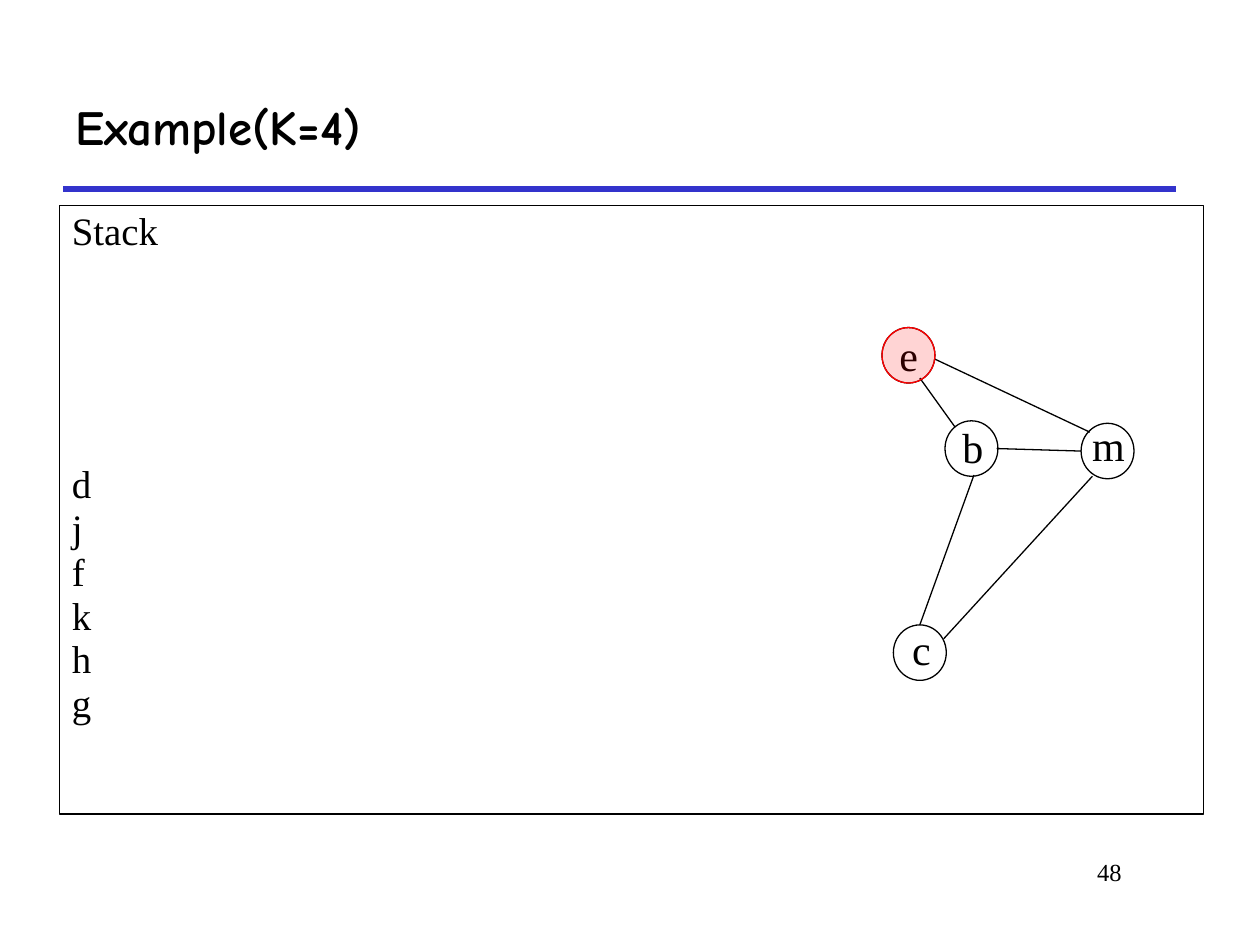
from lxml import etree
from pptx import Presentation
from pptx.dml.color import RGBColor
from pptx.enum.shapes import MSO_CONNECTOR, MSO_SHAPE
from pptx.enum.text import MSO_ANCHOR, MSO_AUTO_SIZE, PP_ALIGN
from pptx.oxml.ns import qn
from pptx.util import Inches, Pt

STRAIGHT = MSO_CONNECTOR.STRAIGHT
OVAL = MSO_SHAPE.OVAL
LEFT, RIGHT = PP_ALIGN.LEFT, PP_ALIGN.RIGHT
TOP, MIDDLE = MSO_ANCHOR.TOP, MSO_ANCHOR.MIDDLE
NO_AUTOFIT = MSO_AUTO_SIZE.NONE

BLACK, BLUE, RED = "000000", "3333CC", "FF0000"
SERIF, COMIC = "Times New Roman", "Comic Neue"
NODE_WIDTH, NODE_HEIGHT = 0.42, 0.44
LABEL_HEIGHT = 0.5

STACK = ["d", "j", "f", "k", "h", "g"]
# letter: node left and top, label left, top and width
NODES = {
    "e": (7, 2.6, 7.04, 2.57, 0.35),
    "b": (7.5, 3.34, 7.54, 3.3, 0.36),
    "m": (8.58, 3.36, 8.57, 3.28, 0.46),
    "c": (7.09, 4.96, 7.14, 4.9, 0.35),
}
EDGES = [
    (7.3, 3, 7.58, 3.39),      # e-b
    (7.42, 2.85, 8.65, 3.43),  # e-m
    (7.91, 3.56, 8.58, 3.58),  # b-m
    (7.73, 3.77, 7.3, 4.96),   # b-c
    (7.49, 5.07, 8.67, 3.78),  # c-m
]


def color(value):
    return RGBColor.from_string(value)


class GraphSlide:
    """Holds the current slide and its drawing style."""

    def __init__(self, slide):
        self.slide = slide

    def place(self, shape, left, top, width, height):
        shape.left, shape.top = Inches(left), Inches(top)
        shape.width, shape.height = Inches(width), Inches(height)

    def style(self, paragraph, size, font=SERIF, bold=False, align=LEFT):
        paragraph.alignment = align
        paragraph.font.name = font
        paragraph.font.size = Pt(size)
        paragraph.font.bold = bold
        paragraph.font.color.rgb = color(BLACK)

    def outline(self, shape, line_color, width=0.75):
        shape.line.color.rgb = color(line_color)
        shape.line.width = Pt(width)

    def title(self, text, *box):
        shape = self.slide.shapes.title
        self.place(shape, *box)
        frame = shape.text_frame
        frame.text = text
        frame.vertical_anchor = MIDDLE
        frame.auto_size = NO_AUTOFIT
        self.style(frame.paragraphs[0], 28, COMIC, bold=True)

    def stack(self, heading, items, *box):
        """Fill the body with a heading and, after a gap, the stack items."""
        body = self.slide.placeholders[1]
        self.place(body, *box)
        self.outline(body, BLACK)
        frame = body.text_frame
        frame.auto_size = NO_AUTOFIT
        frame.vertical_anchor = TOP
        frame.text = "\n".join([heading, *items])
        for index, paragraph in enumerate(frame.paragraphs):
            properties = paragraph._p.get_or_add_pPr()
            properties.set("marL", "0")
            properties.set("indent", "0")
            etree.SubElement(properties, qn("a:buNone"))
            paragraph.line_spacing = 0.9
            paragraph.space_before = Pt({0: 0, 1: 121}.get(index, 1))
            self.style(paragraph, 22.2)

    def text(self, text, left, top, width, height, size, align=LEFT, wrap=True):
        box = self.slide.shapes.add_textbox(
            Inches(left), Inches(top), Inches(width), Inches(height))
        frame = box.text_frame
        frame.word_wrap = wrap
        frame.text = text
        self.style(frame.paragraphs[0], size, align=align)

    def line(self, x1, y1, x2, y2, line_color=BLACK, width=0.75):
        connector = self.slide.shapes.add_connector(
            STRAIGHT, Inches(x1), Inches(y1), Inches(x2), Inches(y2))
        self.outline(connector, line_color, width)
        etree.SubElement(connector._element.spPr, qn("a:effectLst"))

    def circle(self, left, top, line_color=BLACK, fill=None, opacity=100):
        shape = self.slide.shapes.add_shape(
            OVAL, Inches(left), Inches(top), Inches(NODE_WIDTH), Inches(NODE_HEIGHT))
        shape.shadow.inherit = False
        self.outline(shape, line_color)
        if fill is None:
            shape.fill.background()
            return
        shape.fill.solid()
        shape.fill.fore_color.rgb = color(fill)
        fill_color = shape._element.spPr.find(qn("a:solidFill"))[0]
        etree.SubElement(fill_color, qn("a:alpha"), val=str(opacity * 1000))

    def node(self, letter, left, top, label_left, label_top, label_width):
        self.circle(left, top)
        self.text(letter, label_left, label_top, label_width, LABEL_HEIGHT, 24, wrap=False)


def main():
    presentation = Presentation()
    presentation.slide_width, presentation.slide_height = Inches(10), Inches(7.5)
    graph = GraphSlide(presentation.slides.add_slide(presentation.slide_layouts[1]))

    graph.line(0.5, 1.5, 9.33, 1.5, BLUE, 3)
    graph.title("Example(K=4)", 0.5, 0.5, 8.83, 1)
    graph.stack("Stack", STACK, 0.47, 1.63, 9.08, 4.83)
    graph.text("48", 6.92, 6.75, 2.08, 0.5, 14, RIGHT)

    for letter, position in NODES.items():
        graph.node(letter, *position)
    for edge in EDGES:
        graph.line(*edge)
    graph.circle(*NODES["e"][:2], RED, fill=RED, opacity=17)

    presentation.save("out.pptx")


if __name__ == "__main__":
    main()
